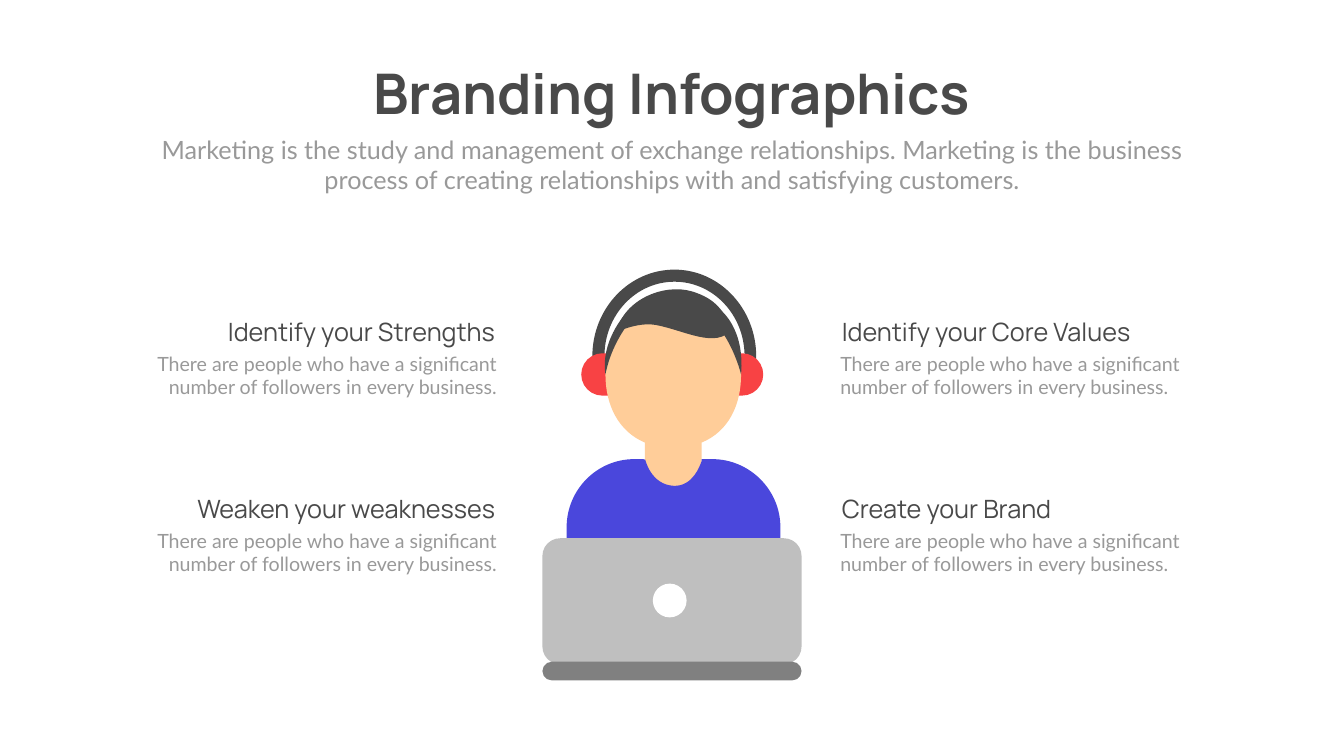
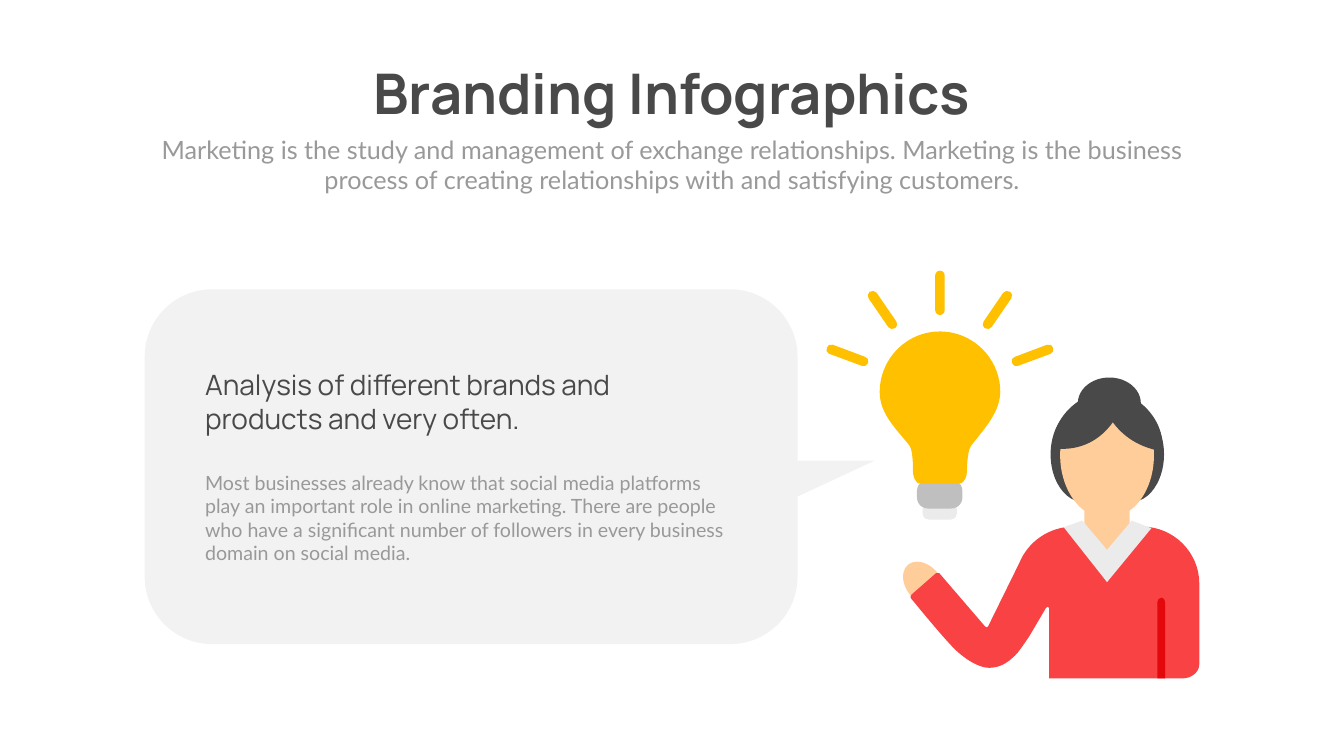
import lxml.etree
import pptx
import pptx.dml.color
import pptx.enum.shapes
import pptx.enum.text
import pptx.oxml.ns
import pptx.util

PX = 9144  # EMU in one px, 100 px to the inch
WIDE, HIGH = 2666, 1500

COLORS = {
    "dark": "494949", "gray": "999999", "white": "FFFFFF", "red": "F84244",
    "deep": "E3080B", "skin": "FFCD99", "blue": "4A47DC", "silver": "BFBFBF",
    "steel": "808080", "pale": "EBEBEB", "panel": "F2F2F2", "gold": "FFC000",
}
FORMS = pptx.enum.shapes.MSO_SHAPE
ALIGN = pptx.enum.text.PP_ALIGN

TITLE = "Branding Infographics"
INTRO = ("Marketing is the study and management of exchange relationships. "
         "Marketing is the business process of creating relationships with "
         "and satisfying customers.")
NOTE = ("There are people who have a significant number of followers "
        "in every business.")
# heading, left, top, width, side
CARDS = [
    ("Identify your Core Values", 1660, 623, 714, "LEFT"),
    ("Create your Brand", 1660, 974, 535, "LEFT"),
    ("Identify your Strengths", 256, 623, 736, "RIGHT"),
    ("Weaken your weaknesses", 256, 974, 736, "RIGHT"),
]
CLAIM = "Analysis of different brands and products and very often."
STORY = ("Most businesses already know that social media platforms play an "
         "important role in online marketing. There are people who have a "
         "significant number of followers in every business domain on social "
         "media.")

# An outline is a start point, then lines (x, y) and curves (three points).
BAND = [
    (1199, 719), (1199, 715, 1199, 711, 1199, 707),
    (1199, 625, 1261, 559, 1338, 559), (1415, 559, 1477, 625, 1477, 707),
    (1477, 711, 1477, 715, 1476, 719), (1500, 719),
    (1500, 715, 1500, 711, 1500, 707), (1500, 612, 1427, 535, 1338, 535),
    (1248, 535, 1175, 612, 1175, 707), (1175, 711, 1176, 715, 1176, 719),
]
HEAD = [
    (1470, 743), (1470, 663, 1416, 597, 1336, 597),
    (1255, 597, 1201, 663, 1201, 743), (1201, 804, 1227, 856, 1279, 878),
    (1279, 1032), (1279, 1063, 1305, 1088, 1336, 1088),
    (1367, 1088, 1392, 1063, 1392, 1032), (1392, 878),
    (1445, 856, 1470, 804, 1470, 743),
]
SHIRT = [
    (1413, 911), (1392, 911), (1392, 912, 1392, 914, 1392, 914),
    (1389, 923, 1375, 965, 1337, 964), (1291, 962, 1280, 912, 1280, 912),
    (1276, 911), (1258, 911), (1184, 911, 1124, 972, 1124, 1046),
    (1124, 1228), (1124, 1245, 1141, 1260, 1162, 1260), (1510, 1260),
    (1531, 1260, 1548, 1245, 1548, 1228), (1548, 1046),
    (1548, 972, 1487, 911, 1413, 911),
]
FRINGE = [
    (1223, 659), (1223, 659, 1265, 638, 1302, 645),
    (1359, 656, 1421, 693, 1452, 653), (1436, 619, 1422, 593, 1372, 578),
    (1317, 562, 1237, 594, 1223, 659),
]
LOCKS = [
    [(1249, 613), (1249, 613, 1190, 671, 1201, 743),
     (1207, 711, 1222, 675, 1245, 644), (1259, 624, 1249, 613, 1249, 613)],
    [(1429, 615), (1429, 615, 1478, 651, 1470, 743),
     (1463, 715, 1446, 674, 1425, 649), (1405, 624, 1429, 615, 1429, 615)],
]
FACE = [
    (2103, 904), (2103, 840, 2131, 787, 2196, 787),
    (2261, 787, 2289, 840, 2289, 904), (2289, 953, 2268, 994, 2241, 1013),
    (2241, 1137), (2241, 1162, 2221, 1182, 2196, 1182),
    (2171, 1182, 2151, 1162, 2151, 1137), (2151, 1013),
    (2125, 995, 2103, 953, 2103, 904),
]
WAVES = [
    [(2182, 783), (2182, 783, 2199, 877, 2303, 895),
     (2318, 842, 2253, 761, 2182, 783)],
    [(2232, 788), (2232, 788, 2203, 900, 2093, 890),
     (2075, 846, 2146, 751, 2232, 788)],
]
JUMPER = [
    (1857, 1137), (1859, 1136, 1861, 1136, 1863, 1137), (1954, 1243),
    (1954, 1244, 1955, 1245, 1957, 1245),
    (1959, 1244, 1960, 1243, 1960, 1243), (2022, 1117),
    (2039, 1075, 2081, 1045, 2129, 1045), (2148, 1045),
    (2148, 1046, 2148, 1047, 2148, 1048),
    (2150, 1055, 2195, 1134, 2195, 1134), (2245, 1045), (2266, 1045),
    (2328, 1045, 2379, 1096, 2379, 1158), (2379, 1318),
    (2379, 1333, 2364, 1346, 2346, 1346), (2081, 1346), (2081, 1206),
    (2080, 1204, 2077, 1202, 2075, 1206), (2042, 1262),
    (2042, 1262, 2024, 1289, 2017, 1297),
    (1995, 1320, 1980, 1324, 1964, 1325),
    (1950, 1326, 1925, 1317, 1896, 1290),
    (1872, 1267, 1812, 1193, 1812, 1193),
    (1807, 1188, 1803, 1184, 1809, 1179),
]
STRIPE = [
    (2304, 1186), (2308, 1186, 2311, 1190, 2311, 1194), (2311, 1346),
    (2296, 1346), (2296, 1194), (2296, 1190, 2299, 1186, 2304, 1186),
]
COLLAR = [(2147, 1033), (2196, 1091), (2245, 1033), (2284, 1048),
          (2196, 1155), (2110, 1046)]
BULB = [
    (1918, 936), (1918, 945, 1914, 954, 1907, 959), (1821, 959),
    (1815, 954, 1811, 945, 1811, 936), (1811, 936, 1812, 894, 1804, 884),
    (1779, 852, 1745, 822, 1745, 778), (1745, 709, 1803, 653, 1873, 658),
    (1932, 662, 1980, 710, 1984, 770), (1987, 817, 1952, 850, 1926, 885),
    (1918, 896, 1918, 936, 1918, 936),
]
RAYS = [
    [(1953, 651), (1958, 654, 1964, 653, 1967, 649), (2006, 592),
     (2009, 588, 2008, 582, 2004, 579), (1999, 576, 1993, 577, 1990, 581),
     (1951, 638), (1948, 642, 1949, 648, 1953, 651)],
    [(2007, 720), (2009, 725, 2014, 728, 2019, 726), (2084, 702),
     (2089, 700, 2091, 695, 2089, 690), (2088, 685, 2082, 682, 2077, 684),
     (2013, 708), (2008, 709, 2005, 715, 2007, 720)],
]
TWICE = 3729  # twice the x of the bulb's middle line


def mirror(outline):
    return [tuple(v if i % 2 else TWICE - v for i, v in enumerate(seg))
            for seg in outline]


def rgb(name):
    return pptx.dml.color.RGBColor.from_string(COLORS[name])


def paint(shape, color):
    shape.fill.solid()
    shape.fill.fore_color.rgb = rgb(color)
    shape.line.fill.background()
    shape.shadow.inherit = False
    return shape


def put(slide, form, box, color, adj=None, turn=0):
    """Add a preset shape; adj is its corner rounding, turn its degrees."""
    shape = slide.shapes.add_shape(FORMS[form], *(v * PX for v in box))
    if adj is not None:
        shape.adjustments[0] = adj
    shape.rotation = turn
    return paint(shape, color)


def draw(slide, outline, color):
    """Add a freeform, then bend its sides that are given as curves."""
    pen = slide.shapes.build_freeform(*outline[0], scale=PX)
    pen.add_line_segments([seg[-2:] for seg in outline[1:]], close=True)
    shape = pen.convert_to_shape()
    left, top = shape.left // PX, shape.top // PX
    qn = pptx.oxml.ns.qn
    sides = list(shape._element.iter(qn("a:lnTo")))
    for side, seg in zip(sides, outline[1:]):
        if len(seg) == 6:
            curve = lxml.etree.Element(qn("a:cubicBezTo"))
            for x, y in zip(seg[::2], seg[1::2]):
                lxml.etree.SubElement(curve, qn("a:pt"),
                                      x=str(x - left), y=str(y - top))
            side.getparent().replace(side, curve)
    return paint(shape, color)


def write(slide, text, box, size=28, font="Lato", color="gray", side="LEFT",
          bold=False, wrap=True):
    area = slide.shapes.add_textbox(*(v * PX for v in box))
    frame = area.text_frame
    frame.word_wrap = wrap
    frame.auto_size = pptx.enum.text.MSO_AUTO_SIZE.SHAPE_TO_FIT_TEXT
    para = frame.paragraphs[0]
    para.alignment = ALIGN[side]
    run = para.add_run()
    run.text = text
    run.font.size = pptx.util.Pt(size)
    run.font.name = font
    run.font.bold = bold
    run.font.color.rgb = rgb(color)


def start(deck):
    """Add a slide with the shared title and intro."""
    slide = deck.slides.add_slide(deck.slide_layouts[6])
    write(slide, TITLE, (675, 112, 1316, 145), size=80, font="Manrope",
          color="dark", side="CENTER", bold=True, wrap=False)
    write(slide, INTRO, (292, 261, 2082, 131), size=36, side="CENTER")
    return slide


def worker(slide):
    draw(slide, BAND, "dark")
    for left in (1400, 1153):
        put(slide, "ROUNDED_RECTANGLE", (left, 701, 114, 84), "red", adj=0.5)
    draw(slide, HEAD, "skin")
    draw(slide, SHIRT, "blue")
    draw(slide, FRINGE, "dark")
    put(slide, "ROUNDED_RECTANGLE", (1076, 1068, 514, 250), "silver", adj=0.14)
    put(slide, "ROUNDED_RECTANGLE", (1076, 1313, 514, 37), "steel", adj=0.5)
    put(slide, "OVAL", (1295, 1158, 67, 67), "white")
    for lock in LOCKS:
        draw(slide, lock, "dark")


def cards(slide):
    for head, left, top, width, side in CARDS:
        write(slide, head, (left, top, width, 71), size=36, font="Manrope",
              color="dark", side=side)
        shift = 3 if side == "LEFT" else 14
        write(slide, NOTE, (left - shift, top + 70, 753, 104), side=side)


def speaker(slide):
    put(slide, "OVAL", (2138, 749, 125, 102), "dark")
    for left in (2179, 2084):
        put(slide, "OVAL", (left, 807, 130, 189), "dark")
    put(slide, "OVAL", (1783, 1124, 100, 70), "skin", turn=50.6)
    draw(slide, FACE, "skin")
    for wave in WAVES:
        draw(slide, wave, "dark")
    draw(slide, JUMPER, "red")
    draw(slide, STRIPE, "deep")
    draw(slide, COLLAR, "pale")


def lamp(slide):
    put(slide, "ROUNDED_RECTANGLE", (1830, 998, 68, 33), "pale", adj=0.38)
    put(slide, "ROUNDED_RECTANGLE", (1819, 952, 90, 57), "silver", adj=0.38)
    draw(slide, BULB, "gold")
    put(slide, "ROUNDED_RECTANGLE", (1855, 537, 19, 88), "gold", adj=0.5)
    for ray in RAYS:
        draw(slide, ray, "gold")
        draw(slide, mirror(ray), "gold")


def speech(slide):
    put(slide, "ROUNDED_RECTANGLE", (287, 574, 1295, 704), "panel", adj=0.19)
    tail = put(slide, "RIGHT_TRIANGLE", (1434, 914, 301, 140), "panel")
    tail._element.spPr.xfrm.set("flipV", "1")
    write(slide, STORY, (397, 929, 1075, 199))
    write(slide, CLAIM, (397, 725, 1042, 145), size=40, font="Manrope",
          color="dark")


def main():
    deck = pptx.Presentation()
    deck.slide_width, deck.slide_height = WIDE * PX, HIGH * PX
    for parts in ((worker, cards), (speaker, lamp, speech)):
        slide = start(deck)
        for part in parts:
            part(slide)
    deck.save("out.pptx")


if __name__ == "__main__":
    main()
